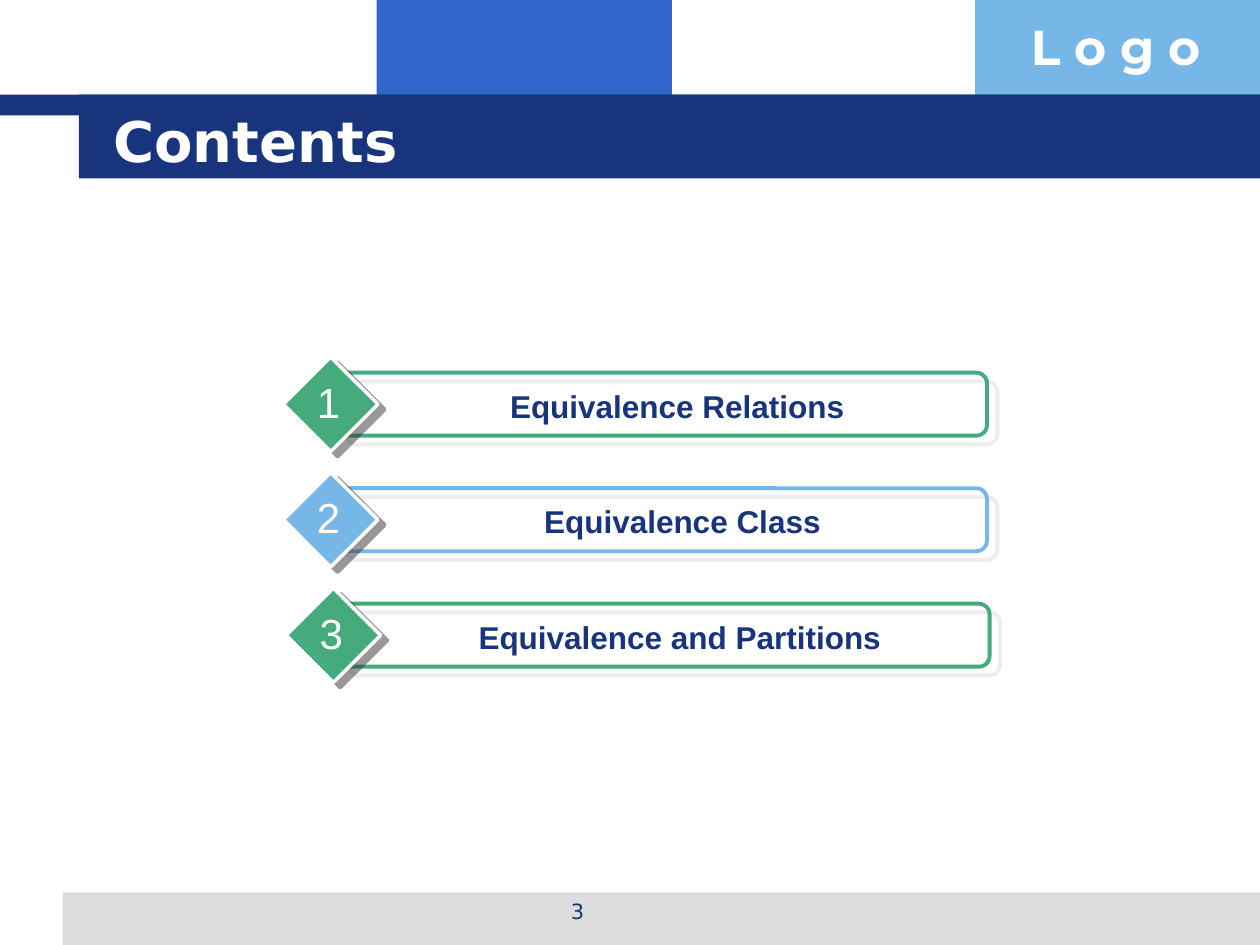
from lxml.etree import SubElement
from pptx import Presentation
from pptx.dml.color import RGBColor
from pptx.enum.shapes import MSO_SHAPE as Shape
from pptx.enum.text import MSO_ANCHOR as Anchor, MSO_AUTO_SIZE as AutoSize, PP_ALIGN as Align
from pptx.oxml.ns import qn
from pptx.util import Emu, Pt

PX = 9525  # EMU in one px, 96 px to the inch
WIDTH, HEIGHT = 960, 720
NAVY, BLUE, SKY, GREEN = "17347D", "3366CC", "77B7E7", "45AB7D"
GREY, DARK, WHITE = "DDDDDD", "333333", "FFFFFF"
ROW_PITCH = 88


def px(value):
    return Emu(value * PX)


def color(hex_text):
    return RGBColor.from_string(hex_text)


def add_shape(page, kind, box, fill=None, line=None, line_pt=0):
    shape = page.shapes.add_shape(kind, *map(px, box))
    shape.shadow.inherit = False
    if fill:
        shape.fill.solid()
        shape.fill.fore_color.rgb = color(fill)
    else:
        shape.fill.background()
    if line:
        shape.line.color.rgb = color(line)
        shape.line.width = Pt(line_pt)
    else:
        shape.line.fill.background()
    return shape


def add_shadow(shape, tint, distance_pt, degrees):
    effects = shape._element.spPr.find(qn("a:effectLst"))
    shadow = SubElement(effects, qn("a:outerShdw"), dist=str(Pt(distance_pt)),
                        dir=str(degrees * 60000), algn="ctr", rotWithShape="0")
    tone = SubElement(shadow, qn("a:srgbClr"), val=tint)
    SubElement(tone, qn("a:alpha"), val="50000")


def add_text(page, box, text, size, font, tint, bold=False,
             align=Align.LEFT, anchor=Anchor.TOP, wrap=True, grow=False):
    frame = page.shapes.add_textbox(*map(px, box)).text_frame
    frame.word_wrap = wrap
    frame.auto_size = AutoSize.SHAPE_TO_FIT_TEXT if grow else AutoSize.NONE
    frame.vertical_anchor = anchor
    para = frame.paragraphs[0]
    para.alignment = align
    span = para.add_run()
    span.text = text
    span.font.size = Pt(size)
    span.font.name = font
    span.font.bold = bold
    span.font.color.rgb = color(tint)


def add_header(page, left, top, width):
    # Colour blocks above the title band
    add_shape(page, Shape.RECTANGLE, (left + 287, top, 225, 88), BLUE)
    add_shape(page, Shape.RECTANGLE, (left + 743, top, width - 743, 88), SKY)
    # Stepped title band
    add_shape(page, Shape.RECTANGLE, (left, top + 72, width, 16), NAVY)
    add_shape(page, Shape.RECTANGLE, (left + 60, top + 72, width - 60, 64), NAVY)
    add_text(page, (left + 776, top + 8, 185, 55), "L o g o", 28, "Montserrat",
             WHITE, bold=True, grow=True)
    add_text(page, (left + 77, top + 77, 819, 60), "Contents", 32, "DejaVu Sans",
             WHITE, bold=True, anchor=Anchor.MIDDLE)


def add_footer(page, left, top, width, height):
    add_shape(page, Shape.RECTANGLE, (left, top, width, height), GREY)
    add_text(page, (left + 280, top, 224, 34), "3", 12, "DejaVu Sans", NAVY,
             align=Align.CENTER)


def add_row(page, left, top, number, label, tint, label_inset):
    # Outlined bar
    bar = add_shape(page, Shape.ROUNDED_RECTANGLE, (left + 40, top + 12, 496, 48),
                    line=tint, line_pt=2.25)
    bar.adjustments[0] = 0.17
    add_shadow(bar, GREY, 7.8, 40)
    # Diamond marker
    marker = add_shape(page, Shape.DIAMOND, (left, top, 72, 72), tint, WHITE, 2)
    add_shadow(marker, DARK, 5, 37)
    # Label and number
    add_text(page, (left + label_inset, top + 18, 544 - label_inset, 38), label, 18,
             "Arial", NAVY, bold=True, align=Align.CENTER, grow=True)
    add_text(page, (left + 16, top + 10, 36, 48), str(number), 24, "Arial", WHITE,
             align=Align.CENTER, wrap=False, grow=True)


def add_contents(page, left, top):
    rows = [
        ("Equivalence Relations", GREEN, 0, 56),
        ("Equivalence Class", SKY, 0, 64),
        ("Equivalence and Partitions", GREEN, 2, 56),
    ]
    for index, (label, tint, shift, label_inset) in enumerate(rows):
        add_row(page, left + shift, top + index * ROW_PITCH, index + 1,
                label, tint, label_inset)


def main():
    deck = Presentation()
    deck.slide_width, deck.slide_height = px(WIDTH), px(HEIGHT)
    page = deck.slides.add_slide(deck.slide_layouts[6])
    add_header(page, 0, 0, WIDTH)
    add_footer(page, 48, 680, WIDTH - 48, 40)
    add_contents(page, 216, 272)
    deck.save("out.pptx")


if __name__ == "__main__":
    main()
